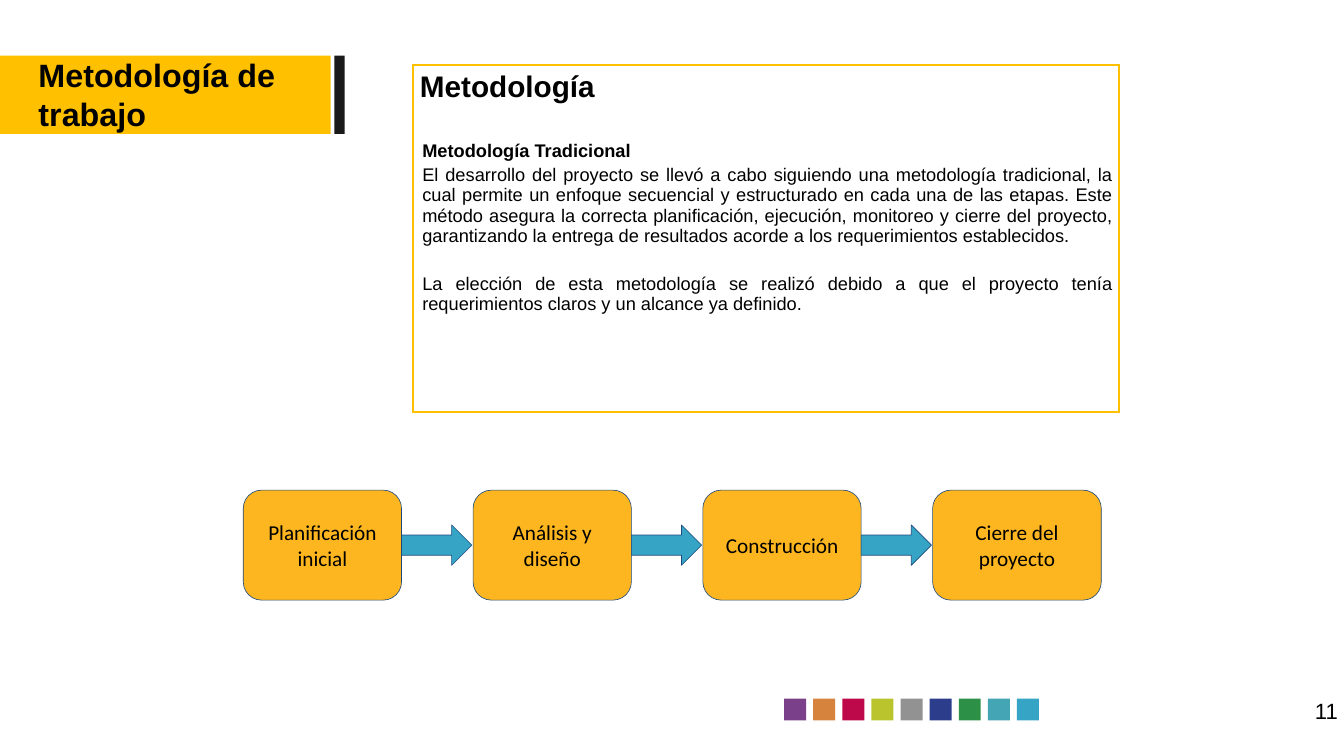
from lxml import etree
from pptx import Presentation
from pptx.dml.color import RGBColor
from pptx.enum import shapes, text
from pptx.oxml import ns
from pptx.util import Inches, Pt

AMBER = RGBColor(0xFF, 0xC0, 0x00)
STEP_ORANGE = RGBColor(0xFE, 0xB6, 0x20)
ARROW_BLUE = RGBColor(0x35, 0xA4, 0xC5)
OUTLINE_NAVY = RGBColor(0x1F, 0x49, 0x7D)
CHARCOAL = RGBColor(0x1A, 0x1A, 0x1A)
BLACK = RGBColor(0x00, 0x00, 0x00)
PALETTE = [
    RGBColor(0x7B, 0x40, 0x8A),
    RGBColor(0xD6, 0x84, 0x3D),
    RGBColor(0xBD, 0x09, 0x49),
    RGBColor(0xBA, 0xC5, 0x2E),
    RGBColor(0x92, 0x92, 0x92),
    RGBColor(0x2C, 0x3E, 0x8B),
    RGBColor(0x2C, 0x91, 0x46),
    RGBColor(0x44, 0xA6, 0xB5),
    ARROW_BLUE,
]
RECTANGLE = shapes.MSO_SHAPE.RECTANGLE
ALIGN = text.PP_ALIGN

presentation = Presentation()
presentation.slide_width = Inches(21.99)
presentation.slide_height = Inches(12.37)
slide = presentation.slides.add_slide(presentation.slide_layouts[6])


def write(paragraph, words, size, font="Arial", bold=False, align=ALIGN.LEFT,
          before=0, spacing=1.0, indent=0):
    paragraph.alignment = align
    paragraph.space_before = Pt(before)
    paragraph.line_spacing = spacing
    if indent:
        paragraph_format = paragraph._p.get_or_add_pPr()
        paragraph_format.set("marL", str(Inches(indent)))
        paragraph_format.set("indent", "0")
    run = paragraph.add_run()
    run.text = words
    run.font.name = font
    run.font.size = Pt(size)
    run.font.bold = bold
    run.font.color.rgb = BLACK


def add_block(kind, left, top, width, height, fill, outline=None):
    shape = slide.shapes.add_shape(
        kind, Inches(left), Inches(top), Inches(width), Inches(height))
    shape.shadow.inherit = False
    shape.fill.solid()
    shape.fill.fore_color.rgb = fill
    if outline is None:
        shape.line.fill.background()
    else:
        shape.line.color.rgb = outline
        shape.line.width = Pt(0.75)
    return shape


add_block(RECTANGLE, 0, 0.91, 5.41, 1.28, AMBER)
add_block(RECTANGLE, 5.47, 0.91, 0.17, 1.28, CHARCOAL)

swatch_pitch = (16.64 - 12.83) / (len(PALETTE) - 1)
for index, color in enumerate(PALETTE):
    add_block(RECTANGLE, 12.83 + index * swatch_pitch, 11.43, 0.36, 0.36, color)

for words, left, top, width, height, size, bold, align in [
    ("Metodología de trabajo", 0.63, 0.91, 4.75, 1.28, 38, True, ALIGN.LEFT),
    ("11", 20.57, 11.42, 1.32, 0.44, 26, False, ALIGN.RIGHT),
]:
    box = slide.shapes.add_textbox(
        Inches(left), Inches(top), Inches(width), Inches(height))
    frame = box.text_frame
    frame.word_wrap = True
    frame.margin_left = frame.margin_right = 0
    frame.margin_top = frame.margin_bottom = 0
    write(frame.paragraphs[0], words, size, bold=bold, align=align)

table = slide.shapes.add_table(
    1, 1, Inches(6.76), Inches(1.06), Inches(11.55), Inches(5.68)).table
table.first_row = False
table.horz_banding = False
cell = table.cell(0, 0)
cell.margin_left = cell.margin_right = Inches(0.1)
cell.margin_top = cell.margin_bottom = Inches(0.1)
cell_format = cell._tc.get_or_add_tcPr()
for side in ("lnL", "lnR", "lnT", "lnB"):
    border = etree.SubElement(cell_format, ns.qn("a:" + side), w=str(Pt(2.25)))
    border_fill = etree.SubElement(border, ns.qn("a:solidFill"))
    etree.SubElement(border_fill, ns.qn("a:srgbClr"), val=str(AMBER))
cell.fill.background()

frame = cell.text_frame
write(frame.paragraphs[0], "Metodología", 35, bold=True, align=ALIGN.JUSTIFY,
      indent=0.01)
for words, bold, before in [
    ("Metodología Tradicional", True, 43.5),
    ("El desarrollo del proyecto se llevó a cabo siguiendo una metodología "
     "tradicional, la cual permite un enfoque secuencial y estructurado en cada "
     "una de las etapas. Este método asegura la correcta planificación, "
     "ejecución, monitoreo y cierre del proyecto, garantizando la entrega de "
     "resultados acorde a los requerimientos establecidos.", False, 3.5),
    ("La elección de esta metodología se realizó debido a que el proyecto tenía "
     "requerimientos claros y un alcance ya definido.", False, 31.5),
]:
    write(frame.add_paragraph(), words, 21.5, bold=bold, align=ALIGN.JUSTIFY,
          before=before, spacing=1.01, indent=0.05)

STEP_PITCH = 3.76
steps = [("Planificación inicial", 2.59), ("Análisis y diseño", 2.59),
         ("Construcción", 2.59), ("Cierre del proyecto", 2.76)]
for index, (words, width) in enumerate(steps):
    step = add_block(shapes.MSO_SHAPE.ROUNDED_RECTANGLE, 3.98 + index * STEP_PITCH,
                     8.02, width, 1.8, STEP_ORANGE, OUTLINE_NAVY)
    frame = step.text_frame
    frame.word_wrap = True
    frame.vertical_anchor = text.MSO_ANCHOR.MIDDLE
    frame.margin_left = frame.margin_right = Inches(0.1)
    frame.margin_top = frame.margin_bottom = Inches(0.1)
    write(frame.paragraphs[0], words, 25, font="Calibri", align=ALIGN.CENTER)

for index in range(len(steps) - 1):
    add_block(shapes.MSO_SHAPE.RIGHT_ARROW, 6.57 + index * STEP_PITCH, 8.59,
              1.15, 0.66, ARROW_BLUE, OUTLINE_NAVY)

presentation.save("out.pptx")
